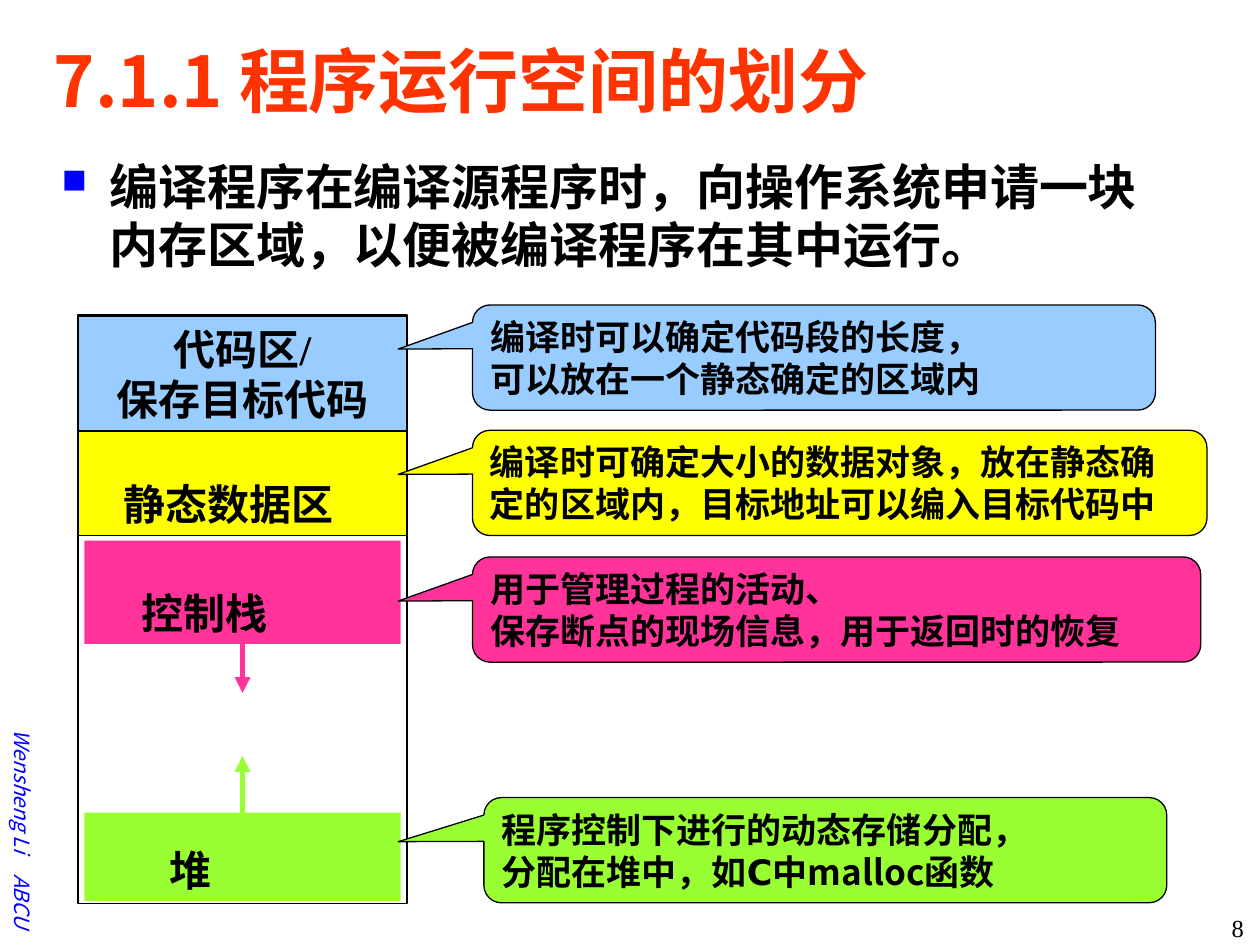
import pptx
import pptx.util
import pptx.dml.color
import pptx.enum.shapes
import pptx.enum.text
import pptx.oxml.ns
import lxml.etree

SHAPE = pptx.enum.shapes.MSO_SHAPE
ALIGN = pptx.enum.text.PP_ALIGN
ANCHOR = pptx.enum.text.MSO_ANCHOR
HAN = "Noto Sans CJK SC"
SERIF = "Times New Roman"
BLACK, BLUE, ORANGE = "000000", "0000FF", "FF3300"
SKY, YELLOW, PINK, LIME = "99CCFF", "FFFF00", "FF3399", "99FF33"
COLUMNS, ROWS = 100, 75


def cells(count):
    """Length of a number of grid cells; the slide is 100 by 75 cells."""
    return pptx.util.Inches(count / 10)


def rgb(hex_color):
    """Colour from a hex string."""
    return pptx.dml.color.RGBColor.from_string(hex_color)


def add_xml(parent, tag, **attributes):
    """Append a drawing element with the given attributes."""
    return lxml.etree.SubElement(parent, pptx.oxml.ns.qn(tag), attributes)


def write(holder, lines, size, color=BLACK, font=HAN, bold=True, italic=False,
          align=ALIGN.LEFT, anchor=ANCHOR.MIDDLE, spacing=None):
    """Write lines of text; a line is a list of (text, font or None) runs."""
    frame = holder.text_frame
    frame.word_wrap = True
    frame.vertical_anchor = anchor
    for number, line in enumerate(lines):
        paragraph = frame.paragraphs[0] if number == 0 else frame.add_paragraph()
        paragraph.alignment = align
        if spacing:
            paragraph.line_spacing = spacing
        for text, own_font in line:
            run = paragraph.add_run()
            run.text = text
            run.font.size = pptx.util.Pt(size)
            run.font.bold = bold
            run.font.italic = italic
            run.font.color.rgb = rgb(color)
            run.font.name = own_font or font
            add_xml(run.font._element, "a:ea", typeface=HAN)
    return frame


def add_text(slide, box, text, size, **style):
    """Place a one-paragraph text box."""
    holder = slide.shapes.add_textbox(*map(cells, box))
    write(holder, [[(text, None)]], size, **style)
    return holder


def add_block(slide, kind, box, fill=None, line=BLACK):
    """Place a preset shape with an optional fill and outline."""
    block = slide.shapes.add_shape(kind, *map(cells, box))
    block.shadow.inherit = False
    if fill:
        block.fill.solid()
        block.fill.fore_color.rgb = rgb(fill)
    else:
        block.fill.background()
    if line:
        block.line.color.rgb = rgb(line)
        block.line.width = pptx.util.Pt(0.75)
    else:
        block.line.fill.background()
    return block


def add_growth_arrow(slide, x, start, end, color):
    """Draw a vertical arrow showing where an area grows."""
    arrow = slide.shapes.add_connector(
        pptx.enum.shapes.MSO_CONNECTOR.STRAIGHT, *map(cells, (x, start, x, end)))
    arrow.line.color.rgb = rgb(color)
    arrow.line.width = pptx.util.Pt(3)
    add_xml(arrow.line._get_or_add_ln(), "a:tailEnd", type="triangle")
    add_xml(arrow._element.spPr, "a:effectLst")


def add_heading(slide, box):
    """Place the slide title."""
    add_text(slide, box, "7.1.1 程序运行空间的划分", 40, color=ORANGE)


def add_statement(slide, box):
    """Place the bulleted statement."""
    statement = add_text(
        slide, box, "编译程序在编译源程序时，向操作系统申请一块内存区域，以便被编译程序在其中运行。",
        28, anchor=ANCHOR.TOP)
    properties = statement.text_frame.paragraphs[0]._p.get_or_add_pPr()
    properties.set("marL", str(cells(3.8)))
    properties.set("indent", str(-cells(3.8)))
    add_xml(add_xml(properties, "a:buClr"), "a:srgbClr", val=BLUE)
    add_xml(properties, "a:buSzPct", val="70000")
    add_xml(properties, "a:buChar", char="■")


def add_memory(slide, box):
    """Draw the memory column with its four areas and growth arrows."""
    left, top, width, height = box
    add_block(slide, SHAPE.RECTANGLE, box)
    # lines, colour, top, height, side margin, line spacing, shift of the label
    areas = [
        (["代码区/", "保存目标代码"], SKY, 0.1, 9.1, 0, None, 0),
        (["静态数据区"], YELLOW, 9.2, 8.3, 0, 1.8, 2.2),
        (["控制栈"], PINK, 17.9, 8.2, 0.5, 1.8, 6),
        (["堆"], LIME, 39.5, 7, 0.5, 1.5, 8.2),
    ]
    for labels, color, offset, rows, margin, spacing, shift in areas:
        area = add_block(
            slide, SHAPE.RECTANGLE,
            (left + margin, top + offset, width - 2 * margin, rows),
            color, None if margin else BLACK)
        frame = write(area, [[(label, None)] for label in labels], 24,
                      font=SERIF, align=ALIGN.CENTER, spacing=spacing)
        frame.margin_right = cells(1 + shift)
    middle = left + width / 2
    add_growth_arrow(slide, middle, top + 25, top + 30, PINK)
    add_growth_arrow(slide, middle, top + 40, top + 35, LIME)


def add_callout(slide, box, color, lines, tip_x):
    """Place a callout whose tip points at the memory column."""
    left, top, width, height = box
    callout = add_block(slide, SHAPE.ROUNDED_RECTANGULAR_CALLOUT, box, color)
    callout.adjustments[0] = (tip_x - left) / width - 0.5
    callout.adjustments[1] = 3.5 / height - 0.5
    callout.adjustments[2] = 0.167
    write(callout, lines, 20)


def add_notes_column(slide, box, tip_x):
    """Place the four explanations beside the memory column."""
    left, top, width, height = box
    notes = [
        (0, 0, 54.2, SKY, [[("编译时可以确定代码段的长度，", None)],
                           [("可以放在一个静态确定的区域内", None)]]),
        (0, 9.95, 58.3, YELLOW, [[("编译时可确定大小的数据对象，放在静态确", None)],
                                 [("定的区域内，目标地址可以编入目标代码中", None)]]),
        (0, 20, 57.8, PINK, [[("用于管理过程的活动、", None)],
                             [("保存断点的现场信息，用于返回时的恢复", None)]]),
        (0.9, 39.1, 54.2, LIME, [[("程序控制下进行的动态存储分配，", None)],
                                 [("分配在堆中，如", None), ("C", "DejaVu Sans"),
                                  ("中malloc函数", None)]]),
    ]
    for indent, offset, columns, color, lines in notes:
        add_callout(slide, (left + indent, top + offset, columns, 8.35),
                    color, lines, tip_x)


def add_margins(slide, author_box, number_box):
    """Place the upright author line and the page number."""
    author = add_text(slide, author_box, "Wensheng Li\u3000ABCU", 12, color=BLUE,
                      bold=False, italic=True, align=ALIGN.RIGHT)
    author.rotation = 90
    add_text(slide, number_box, "8", 14, font=SERIF, bold=False,
             align=ALIGN.RIGHT, anchor=ANCHOR.TOP)


deck = pptx.Presentation()
deck.slide_width, deck.slide_height = cells(COLUMNS), cells(ROWS)
page = deck.slides.add_slide(deck.slide_layouts[6])
add_margins(page, (-11.4, 60, 26.4, 3), (91.4, 72, 8.3, 3))
add_heading(page, (3.3, 1.7, 94.2, 9.2))
add_statement(page, (3.9, 11.9, 91, 10.6))
add_memory(page, (6.2, 25, 26.1, 46.7))
add_notes_column(page, (37.5, 24.2, 58.3, 47.4), tip_x=31.6)
deck.save("out.pptx")
